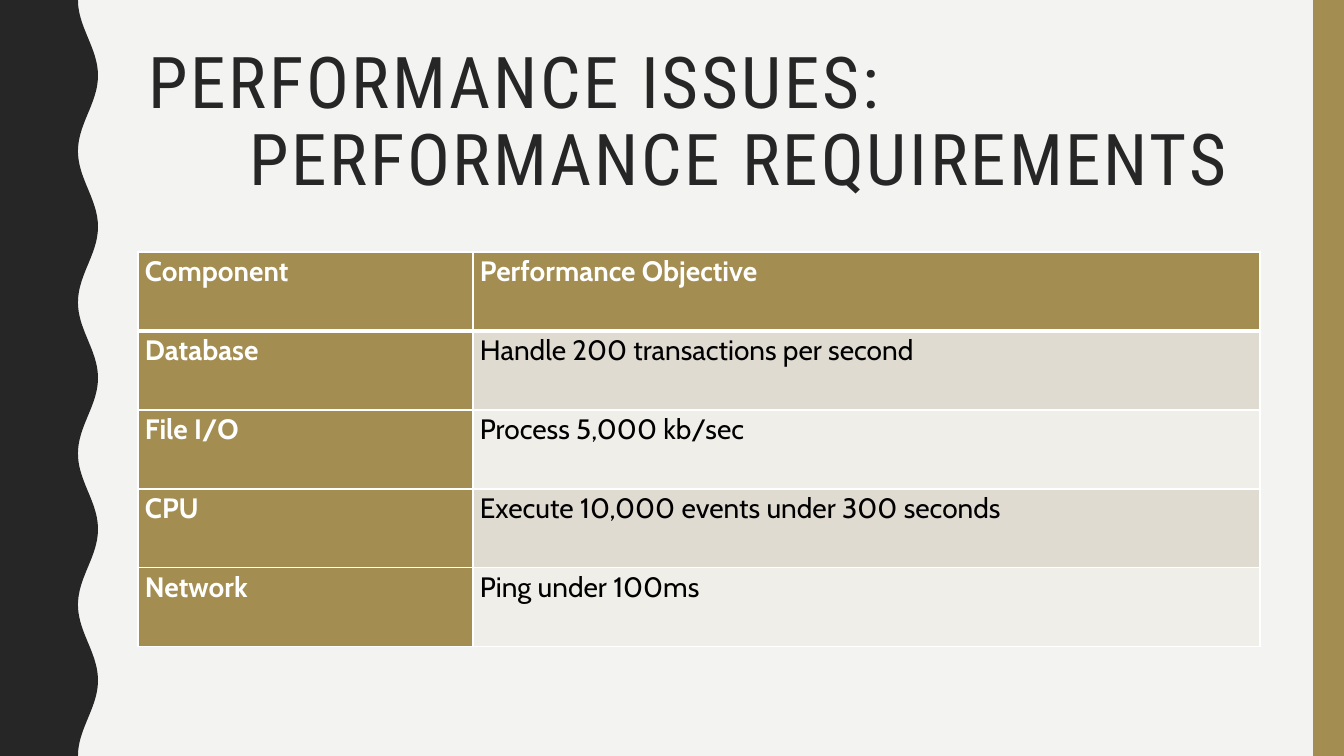
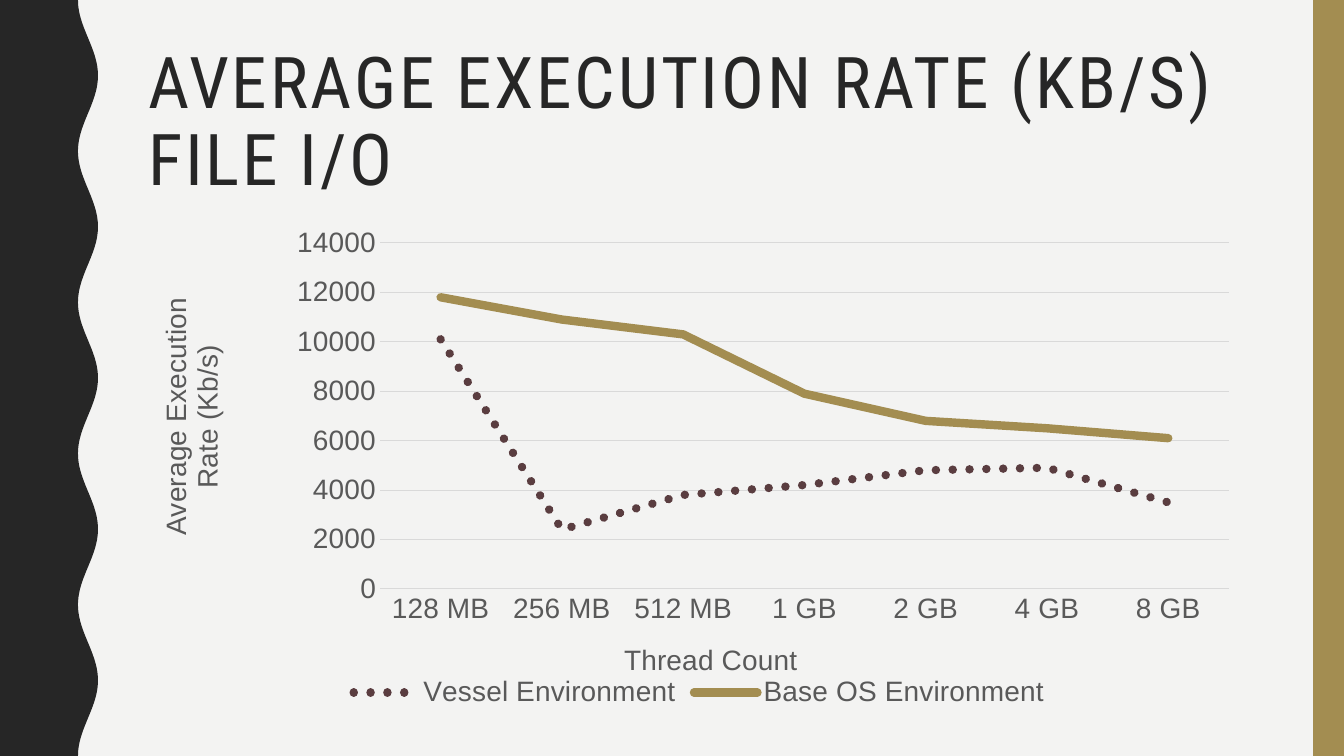
import math

from pptx import Presentation, oxml, util as u
from pptx.chart import data
from pptx.dml.color import RGBColor
from pptx.enum import chart as ch, dml, shapes, text
from pptx.oxml.ns import nsdecls

W, H = 1344, 756
SCALE = 914400 / 100.8
HUES = {
    "paper": "F3F3F2", "dark": "262626", "gold": "A38D51", "plum": "5A3D40",
    "white": "FFFFFF", "black": "000000", "odd": "E0DBD0", "even": "F0EEE9",
    "grey": "595959", "rule": "D9D9D9",
}
HEAD = (138, 42, 1122, 164)
GRID = (138, 252, 1122, 395)
PLOT = (138, 207, 1122, 507)
ROWS = [
    ("Component", "Performance Objective"),
    ("Database", "Handle 200 transactions per second"),
    ("File I/O", "Process 5,000 kb/sec"),
    ("CPU", "Execute 10,000 events under 300 seconds"),
    ("Network", "Ping under 100ms"),
]
SIZES = ["128 MB", "256 MB", "512 MB", "1 GB", "2 GB", "4 GB", "8 GB"]
RATES = [
    ("Vessel Environment", "plum", dml.MSO_LINE.ROUND_DOT,
     [10100, 2400, 3800, 4200, 4800, 4900, 3500]),
    ("Base OS Environment", "gold", dml.MSO_LINE.SOLID,
     [11800, 10900, 10300, 7900, 6800, 6500, 6100]),
]


def px(n):
    """Turn px into EMU."""
    return u.Emu(round(n * SCALE))


def hue(name):
    """Look up a colour by name."""
    return RGBColor.from_string(HUES[name])


def style(font, size, name, tone, bold=False):
    """Format one font."""
    font.size, font.name, font.bold = u.Pt(size), name, bold
    font.color.rgb = hue(tone)


def write(frame, words, size=20, font="Cabin", tone="black", bold=False,
          lead=None, gap=0, align=None, tab=0):
    """Fill a text frame with one formatted paragraph."""
    para = frame.paragraphs[0]
    para.text = words
    para.line_spacing, para.alignment = lead, align
    if tab:
        para._p.get_or_add_pPr().append(oxml.parse_xml(
            f'<a:tabLst {nsdecls("a")}><a:tab pos="{px(tab)}" algn="l"/></a:tabLst>'))
    for run in para.runs:
        style(run.font, size, font, tone, bold)
        if gap:
            run._r.get_or_add_rPr().set("spc", str(gap * 100))


def paint(shape, tone):
    """Give a shape a flat fill without line or shadow."""
    shape.fill.solid()
    shape.fill.fore_color.rgb = hue(tone)
    shape.line.fill.background()
    shape.shadow.inherit = False


def wave(slide, x, y, wide, high, waves=5, swing=10):
    """Draw the dark band whose right edge is a wave."""
    turn = 2 * math.pi * waves / high
    edge = [(wide - swing - swing * math.cos(turn * b), b) for b in range(0, high + 1, 3)]
    path = slide.shapes.build_freeform(px(x), px(y))
    path.add_line_segments([(px(x + a), px(y + b)) for a, b in edge + [(0, high)]])
    band = path.convert_to_shape()
    paint(band, "dark")
    return band


def dress(layout, slide):
    """Set the layout's background and bands, drawn by way of a slide."""
    layout.background.fill.solid()
    layout.background.fill.fore_color.rgb = hue("paper")
    bar = slide.shapes.add_shape(
        shapes.MSO_SHAPE.RECTANGLE, px(1313), 0, px(W - 1313), px(H))
    paint(bar, "gold")
    for part in (bar, wave(slide, 0, 0, 98, H)):
        layout.shapes.element.insert(2, part.element)


def title(slide, words, box, tab=0):
    """Place and fill the title."""
    head = slide.shapes.title
    head.left, head.top, head.width, head.height = map(px, box)
    frame = head.text_frame
    frame.word_wrap, frame.auto_size = True, text.MSO_AUTO_SIZE.NONE
    frame.vertical_anchor = text.MSO_ANCHOR.MIDDLE
    write(frame, words, size=51, font="Roboto Condensed", tone="dark",
          lead=0.9, gap=2, align=text.PP_ALIGN.LEFT, tab=tab)


def rim(cell, **wide):
    """Draw white cell borders of the given point widths."""
    props = cell._tc.get_or_add_tcPr()
    for n, side in enumerate("LRTB"):
        props.insert(n, oxml.parse_xml(
            f'<a:ln{side} {nsdecls("a")} w="{u.Pt(wide.get(side, 1))}"><a:solidFill>'
            f'<a:srgbClr val="{HUES["white"]}"/></a:solidFill></a:ln{side}>'))


def table(slide, rows, box, first=335):
    """Build the table with a gold head row and first column."""
    x, y, wide, high = box
    grid = slide.shapes.add_table(len(rows), 2, *map(px, box)).table
    for col, size in zip(grid.columns, (first, wide - first)):
        col.width = px(size)
    for r, row in enumerate(rows):
        grid.rows[r].height = px(high / len(rows))
        for c, words in enumerate(row):
            cell = grid.cell(r, c)
            key = r == 0 or c == 0
            cell.margin_left = cell.margin_right = px(7)
            cell.margin_top = cell.margin_bottom = 0
            cell.fill.solid()
            cell.fill.fore_color.rgb = hue("gold" if key else "odd" if r % 2 else "even")
            rim(cell, B=3 if r == 0 else 1, T=3 if r == 1 else 1)
            write(cell.text_frame, words, tone="white" if key else "black",
                  bold=key, lead=1.07)


def place(node, spot, box, **at):
    """Fix a chart part at px lengths within the chart's box."""
    for old in node.xpath("c:layout"):
        node.remove(old)
    inner = '<c:layoutTarget val="inner"/>' if "w" in at else ""
    modes = "".join(f'<c:{k}Mode val="edge"/>' for k in "xy")
    sizes = "".join(f'<c:{k} val="{v / box[2 if k in "xw" else 3]}"/>'
                    for k, v in at.items())
    node.insert(spot, oxml.parse_xml(
        f'<c:layout {nsdecls("c")}><c:manualLayout>{inner}{modes}{sizes}'
        '</c:manualLayout></c:layout>'))


def axis(line, words, turn, box, x, y):
    """Format an axis and place its title."""
    line.major_tick_mark = line.minor_tick_mark = ch.XL_TICK_MARK.NONE
    style(line.tick_labels.font, 20, "Arial", "grey")
    write(line.axis_title.text_frame, words, font="Arial", tone="grey")
    name = line.axis_title.element
    name.xpath(".//a:bodyPr")[0].set("rot", str(turn * 60000))
    place(name, 1, box, x=x, y=y)


def graph(slide, box):
    """Build the line chart."""
    feed = data.CategoryChartData(number_format="0")
    feed.categories = SIZES
    for name, _, _, vals in RATES:
        feed.add_series(name, vals)
    chart = slide.shapes.add_chart(ch.XL_CHART_TYPE.LINE, *map(px, box), feed).chart
    style(chart.font, 20, "Arial", "black")
    chart.has_title = False
    chart.has_legend = True
    chart.legend.position = ch.XL_LEGEND_POSITION.BOTTOM
    chart.legend.include_in_layout = False
    style(chart.legend.font, 20, "Arial", "grey")
    cats, vals = chart.category_axis, chart.value_axis
    axis(cats, "Thread Count", 0, box, 481, 430)
    axis(vals, "Average Execution\vRate (Kb/s)", -90, box, 18, 88)
    vals.minimum_scale, vals.maximum_scale, vals.major_unit = 0, 14000, 2000
    vals.tick_labels.number_format = "0"
    vals.tick_labels.number_format_is_linked = False
    vals.format.line.fill.background()
    for line in (cats.format.line, vals.major_gridlines.format.line):
        line.color.rgb, line.width = hue("rule"), u.Pt(0.75)
    plot = chart.plots[0]
    plot.vary_by_categories = False
    for row, (_, tone, dash, _) in zip(plot.series, RATES):
        row.smooth = False
        line = row.format.line
        line.color.rgb, line.width, line.dash_style = hue(tone), u.Pt(6), dash
    for line in chart.element.xpath(".//c:ser/c:spPr/a:ln"):
        line.set("cap", "rnd")
    place(chart.element.xpath(".//c:plotArea")[0], 0, box, x=242, y=36, w=849, h=346)


def main():
    """Build and save the deck."""
    deck = Presentation()
    deck.slide_width, deck.slide_height = px(W), px(H)
    base = deck.slide_layouts[5]
    needs, rate = (deck.slides.add_slide(base) for _ in range(2))
    dress(base, needs)
    title(needs, "PERFORMANCE ISSUES:\v\tPERFORMANCE REQUIREMENTS", HEAD, tab=101)
    table(needs, ROWS, GRID)
    title(rate, "AVERAGE EXECUTION RATE (KB/S) FILE I/O", HEAD)
    graph(rate, PLOT)
    deck.save("out.pptx")


if __name__ == "__main__":
    main()
